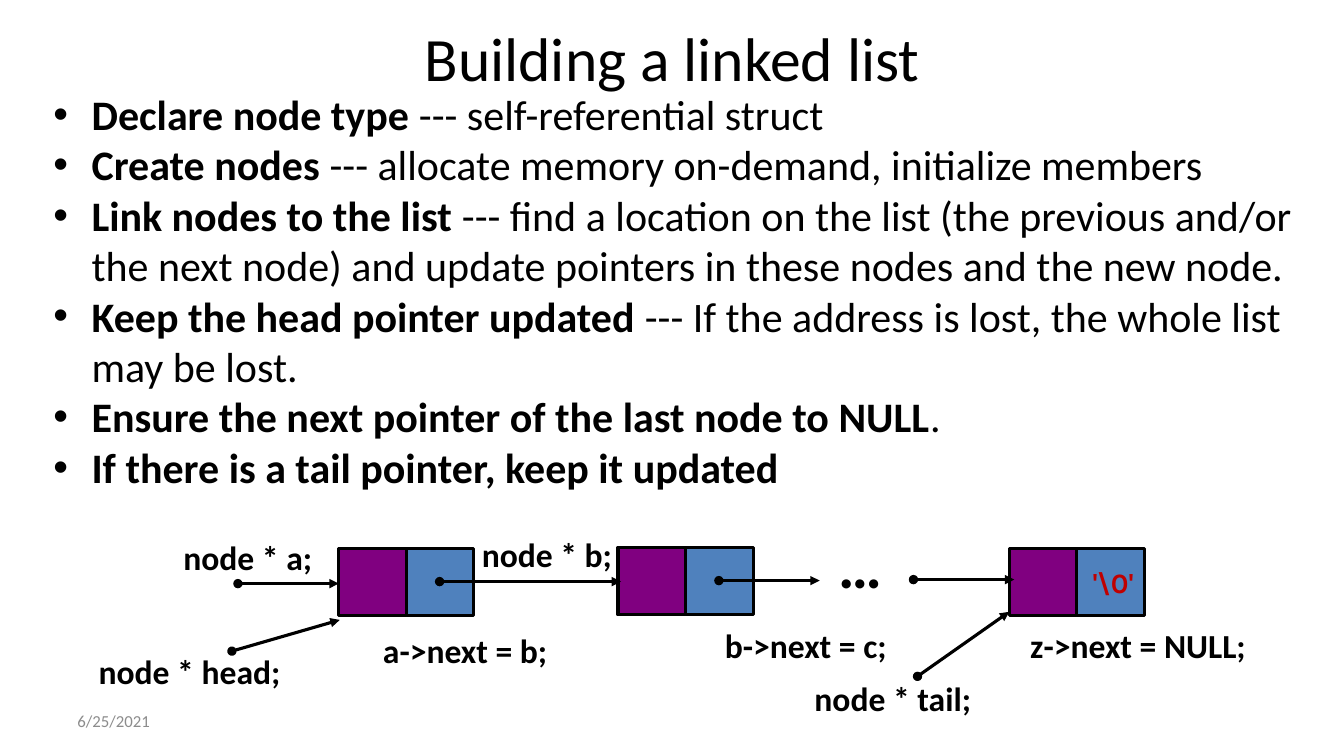
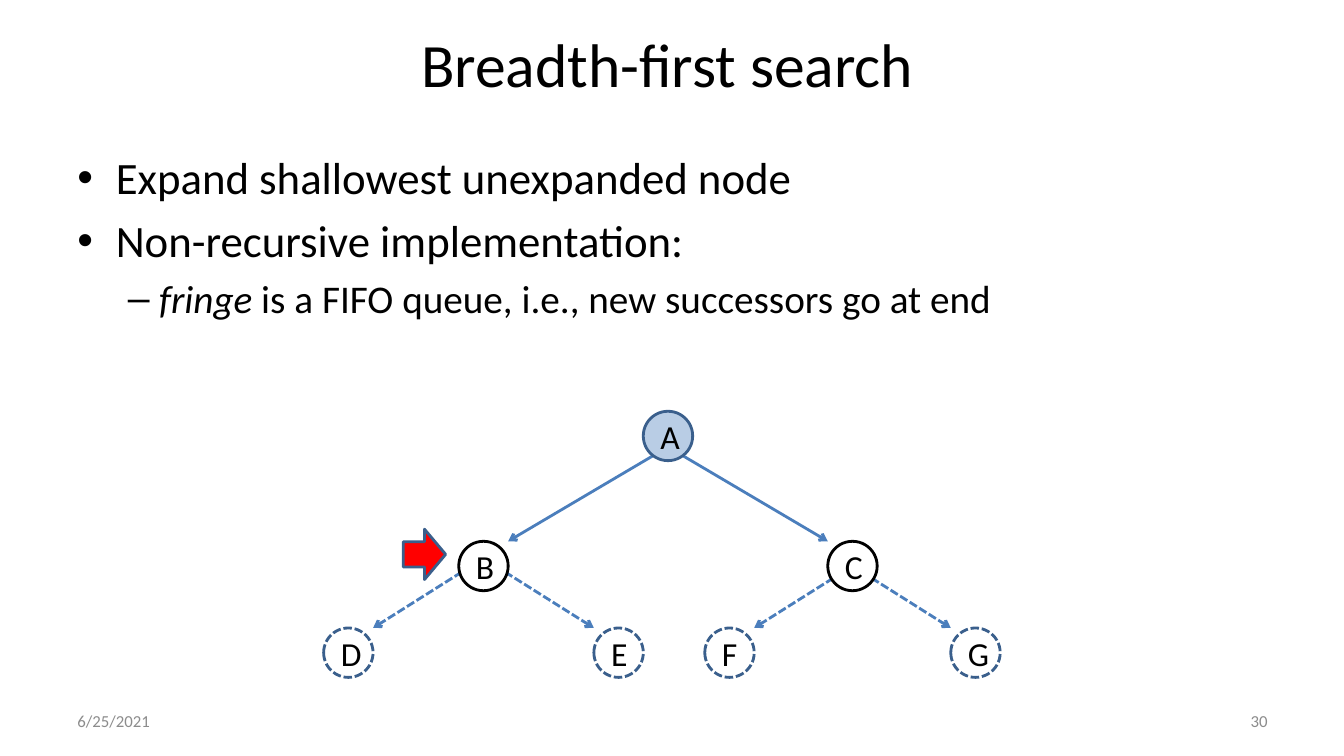
from dataclasses import dataclass

from lxml import etree
from pptx import Presentation
from pptx.dml.color import RGBColor
from pptx.enum.dml import MSO_LINE
from pptx.enum.shapes import MSO_CONNECTOR, MSO_SHAPE
from pptx.enum.text import MSO_ANCHOR, MSO_AUTO_SIZE, PP_ALIGN
from pptx.oxml.ns import qn
from pptx.util import Inches, Pt

STRAIGHT = MSO_CONNECTOR.STRAIGHT
RECTANGLE, OVAL, RIGHT_ARROW = MSO_SHAPE.RECTANGLE, MSO_SHAPE.OVAL, MSO_SHAPE.RIGHT_ARROW
LEFT, CENTER, RIGHT = PP_ALIGN.LEFT, PP_ALIGN.CENTER, PP_ALIGN.RIGHT
TOP, MIDDLE = MSO_ANCHOR.TOP, MSO_ANCHOR.MIDDLE
DASHED = MSO_LINE.SQUARE_DOT


@dataclass(frozen=True)
class Theme:
    font: str = "Calibri"
    null_font: str = "Karla"
    black: str = "000000"
    white: str = "FFFFFF"
    grey: str = "8C8C8C"
    purple: str = "800080"
    blue: str = "4F81BD"
    dark_red: str = "C00000"
    red: str = "FF0000"
    pale_blue: str = "B9CDE5"
    outline_blue: str = "3A5F8C"
    edge_blue: str = "4B7EBC"
    title_size: int = 44
    steps_size: int = 30
    point_size: int = 32
    subpoint_size: int = 28
    label_size: int = 24
    null_size: int = 20
    footer_size: int = 12
    list_line: float = 2.25
    tree_line: float = 2


THEME = Theme()

DATE = "6/25/2021"
DATE_BOX = (0.67, 6.95, 3.11, 0.4)
NUMBER_BOX = (9.56, 6.95, 3.11, 0.4)

LIST_TITLE = "Building a linked list"
STEPS = [
    ("Declare node type ", "--- self-referential struct"),
    ("Create nodes ", "--- allocate memory on-demand, initialize members"),
    ("Link nodes to the list ", "--- find a location on the list (the previous and/or "
     "the next node) and update pointers in these nodes and the new node."),
    ("Keep the head pointer updated", " --- If the address is lost, the whole list may be lost."),
    ("Ensure the next pointer of the last node to NULL", "."),
    ("If there is a tail pointer, keep it updated", ""),
]
CELL = 0.67
LIST_NODES = [(3.36, 5.44), (6.13, 5.43), (10.01, 5.44)]
POINTERS = [
    ((4.36, 5.77), (6.16, 5.77)),
    ((7.13, 5.76), (8.13, 5.76)),
    ((2.36, 5.79), (3.36, 5.79)),
    ((9.06, 5.75), (10.06, 5.75)),
    ((2.3, 6.46), (3.37, 6.15)),
    ((9.1, 6.71), (10.01, 6.07)),
]
LIST_LABELS = [
    ("node * a;", (1.72, 5.28, 1.49, 0.5)),
    ("node * b;", (4.68, 5.25, 1.51, 0.5)),
    ("a->next = b;", (3.7, 6.2, 1.85, 0.5)),
    ("b->next = c;", (7.09, 6.15, 1.82, 0.5)),
    ("z->next = NULL;", (10.12, 6.15, 2.36, 0.5)),
    ("node * head;", (0.88, 6.41, 2.02, 0.5)),
    ("node * tail;", (7.98, 6.68, 1.77, 0.5)),
]

SEARCH_TITLE = "Breadth-first search"
SEARCH_NUMBER = "30"
POINT = {"bullet": "•", "left": 0.38, "hanging": 0.38}
SUBPOINT = {"bullet": "–", "left": 0.81, "hanging": 0.31}
SEARCH_POINTS = [
    (POINT, THEME.point_size, [("Expand shallowest unexpanded node", {})]),
    (POINT, THEME.point_size, [("Non-recursive implementation:", {})]),
    (SUBPOINT, THEME.subpoint_size, [
        ("fringe", {"italic": True}),
        (" is a FIFO queue, i.e., new successors go at end", {}),
    ]),
]
NODE_SIZE = 0.49
EXPANDED = {"fill": THEME.pale_blue, "line": THEME.outline_blue}
FRINGE = {"fill": THEME.white, "line": THEME.black}
UNSEEN = {"fill": THEME.white, "line": THEME.outline_blue, "dash": DASHED}
TREE_NODES = {
    "A": (6.38, 4.08, EXPANDED),
    "B": (4.55, 5.37, FRINGE),
    "C": (8.21, 5.37, FRINGE),
    "D": (3.21, 6.23, UNSEEN),
    "E": (5.89, 6.23, UNSEEN),
    "F": (6.99, 6.23, UNSEEN),
    "G": (9.43, 6.23, UNSEEN),
}
CHILDREN = {"A": "BC", "B": "DE", "C": "FG"}
EDGE_STARTS = {"A": (0.12, 0.18), "B": (0.12, 0), "C": (0, 0)}


def rgb(color):
    return RGBColor.from_string(color)


def inches(values):
    return [Inches(value) for value in values]


def add_run(paragraph, text, size, color=THEME.black, **formats):
    run = paragraph.add_run()
    run.text = text
    values = {"name": THEME.font, "size": Pt(size), **formats}
    for attribute, value in values.items():
        setattr(run.font, attribute, value)
    run.font.color.rgb = rgb(color)


def add_box(shapes, box, wrap=True, anchor=TOP):
    frame = shapes.add_textbox(*inches(box)).text_frame
    frame.word_wrap = wrap
    frame.vertical_anchor = anchor
    return frame


def add_label(shapes, text, box, size=THEME.label_size, align=LEFT, wrap=False, anchor=TOP, **formats):
    paragraph = add_box(shapes, box, wrap, anchor).paragraphs[0]
    paragraph.alignment = align
    add_run(paragraph, text, size, **formats)


def add_bullets(shapes, box, points, spacing=0.0):
    frame = add_box(shapes, box)
    for index, (level, size, runs) in enumerate(points):
        paragraph = frame.add_paragraph() if index else frame.paragraphs[0]
        properties = paragraph._p.get_or_add_pPr()
        properties.set("marL", str(Inches(level["left"])))
        properties.set("indent", str(-Inches(level["hanging"])))
        etree.SubElement(properties, qn("a:buFont")).set("typeface", "Arial")
        etree.SubElement(properties, qn("a:buChar")).set("char", level["bullet"])
        paragraph.space_before = Pt(size * spacing if index else 0)
        for text, formats in runs:
            add_run(paragraph, text, size, **formats)


def set_line(line, color, width, dash=None):
    line.color.rgb = rgb(color)
    line.width = Pt(width)
    if dash is not None:
        line.dash_style = dash


def add_outlined(shapes, kind, box, fill, line, width, dash=None):
    shape = shapes.add_shape(kind, *inches(box))
    shape.shadow.inherit = False
    shape.fill.solid()
    shape.fill.fore_color.rgb = rgb(fill)
    set_line(shape.line, line, width, dash)
    return shape


def add_arrow(shapes, start, end, color, width, dash=None, **ends):
    connector = shapes.add_connector(STRAIGHT, *inches(start + end))
    set_line(connector.line, color, width, dash)
    outline = connector.line._get_or_add_ln()
    for end_name, end_type in ends.items():
        etree.SubElement(outline, qn(f"a:{end_name}")).set("type", end_type)
    etree.SubElement(connector._element.spPr, qn("a:effectLst"))


def add_titled_slide(deck, text, box, number=None):
    slide = deck.slides.add_slide(deck.slide_layouts[5])
    title = slide.shapes.title
    title.left, title.top, title.width, title.height = inches(box)
    frame = title.text_frame
    frame.auto_size = MSO_AUTO_SIZE.NONE
    frame.vertical_anchor = MIDDLE
    frame.paragraphs[0].alignment = CENTER
    add_run(frame.paragraphs[0], text, THEME.title_size)
    footers = [(DATE, DATE_BOX, LEFT)]
    if number:
        footers.append((number, NUMBER_BOX, RIGHT))
    for footer, place, align in footers:
        add_label(slide.shapes, footer, place, THEME.footer_size, align, True, MIDDLE, color=THEME.grey)
    return slide.shapes


def build_list_slide(deck):
    shapes = add_titled_slide(deck, LIST_TITLE, (0.92, 0.02, 11.5, 1.09))
    steps = [
        (POINT, THEME.steps_size, [(text, {"bold": bold}) for text, bold in ((name, True), (detail, False)) if text])
        for name, detail in STEPS
    ]
    add_bullets(shapes, (0.43, 0.83, 12.51, 4.23), steps)
    for left, top in LIST_NODES:
        for column, fill in enumerate((THEME.purple, THEME.blue)):
            cell = (left + column * CELL, top, CELL, CELL)
            add_outlined(shapes, RECTANGLE, cell, fill, THEME.black, THEME.list_line)
    for start, end in POINTERS:
        add_arrow(shapes, start, end, THEME.black, THEME.list_line, headEnd="oval", tailEnd="triangle")
    for text, box in LIST_LABELS:
        add_label(shapes, text, box, bold=True)
    add_label(shapes, "…", (8.22, 5.18, 0.64, 0.84), THEME.title_size, bold=True)
    add_label(shapes, r"'\0'", (10.69, 5.56, 0.7, 0.44), THEME.null_size, CENTER,
              color=THEME.dark_red, name=THEME.null_font, bold=True)


def build_tree(shapes):
    for parent, children in CHILDREN.items():
        left, top, _ = TREE_NODES[parent]
        across, down = EDGE_STARTS[parent]
        for child, side in zip(children, (-1, 1)):
            child_left, child_top, look = TREE_NODES[child]
            start = (left + NODE_SIZE / 2 + side * across, top + NODE_SIZE / 2 + down)
            end = (child_left + (NODE_SIZE if side < 0 else 0), child_top)
            add_arrow(shapes, start, end, THEME.edge_blue, THEME.tree_line, look.get("dash"), tailEnd="arrow")
    for letter, (left, top, look) in TREE_NODES.items():
        node = add_outlined(shapes, OVAL, (left, top, NODE_SIZE, NODE_SIZE), width=THEME.tree_line, **look)
        node.text_frame.vertical_anchor = MIDDLE
        paragraph = node.text_frame.paragraphs[0]
        paragraph.alignment = CENTER
        add_run(paragraph, letter, THEME.label_size)


def build_search_slide(deck):
    shapes = add_titled_slide(deck, SEARCH_TITLE, (0.62, 0, 12, 1.25), SEARCH_NUMBER)
    add_bullets(shapes, (0.67, 1.44, 12.17, 2.48), SEARCH_POINTS, 0.2)
    build_tree(shapes.add_group_shape().shapes)
    add_outlined(shapes, RIGHT_ARROW, (4, 5.25, 0.42, 0.5), THEME.red, THEME.outline_blue, THEME.tree_line)


def main():
    deck = Presentation()
    deck.slide_width, deck.slide_height = Inches(13.33), Inches(7.5)
    build_list_slide(deck)
    build_search_slide(deck)
    deck.save("out.pptx")


if __name__ == "__main__":
    main()
